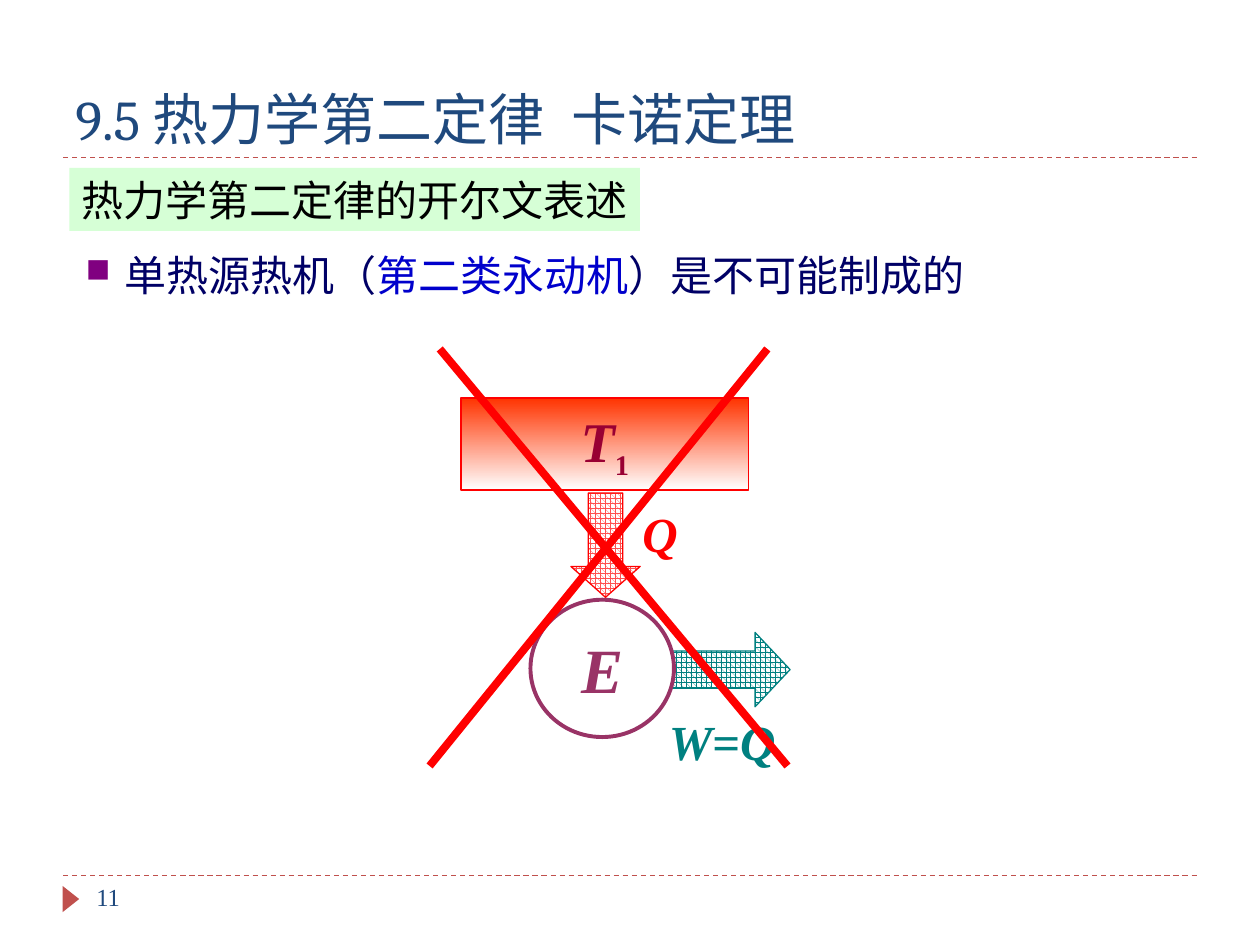
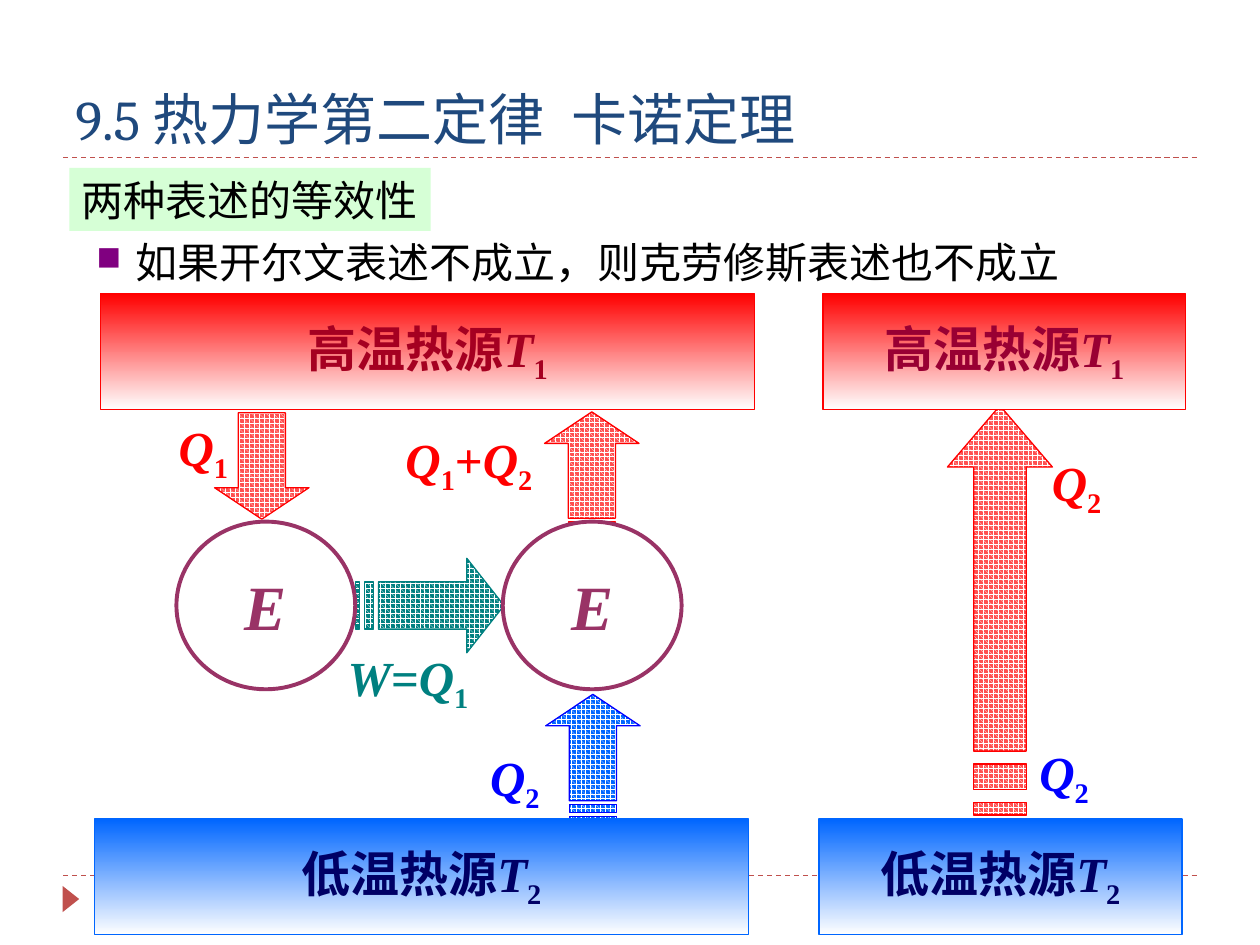
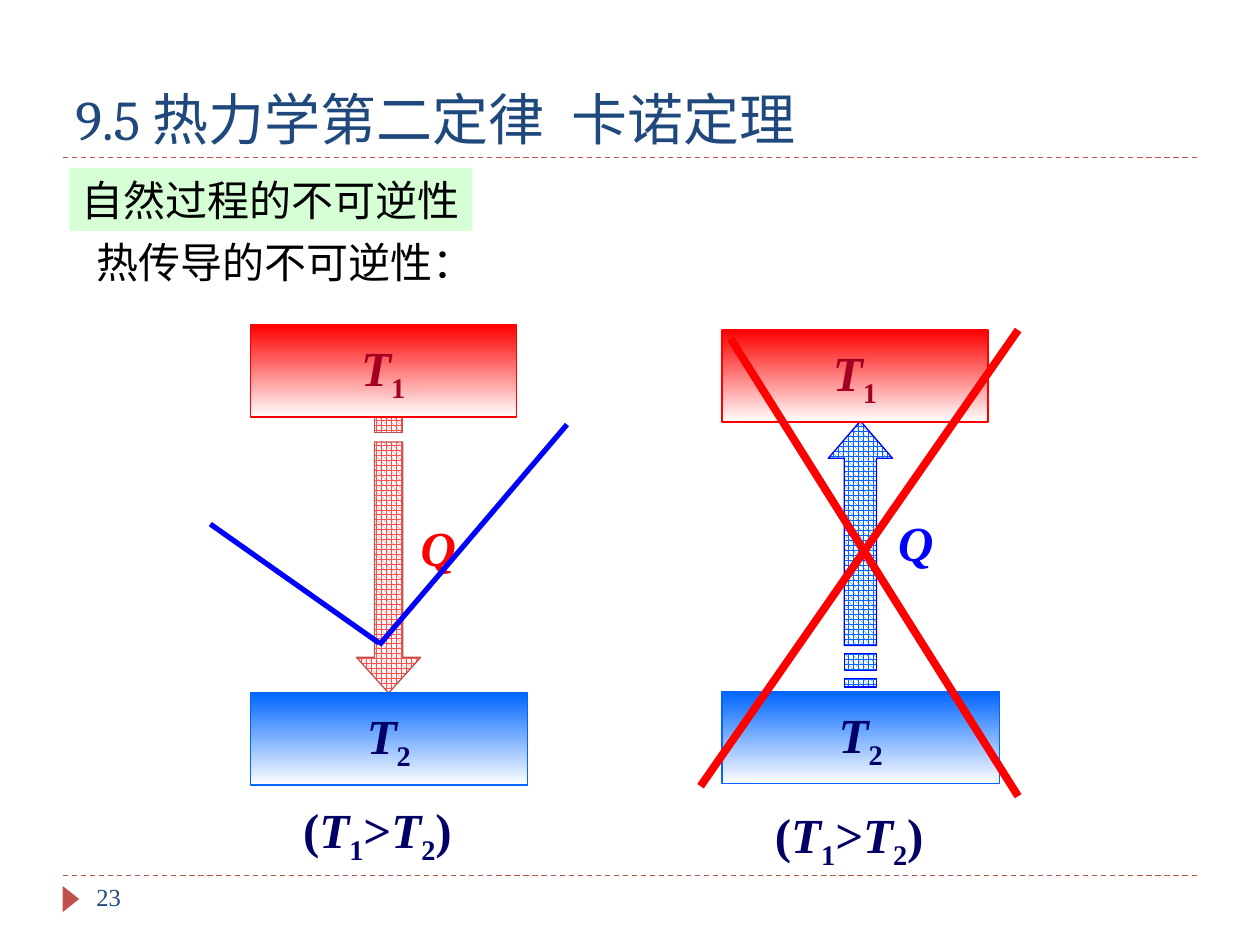
from dataclasses import dataclass
from itertools import groupby

from lxml import etree
from pptx import Presentation
from pptx import util as u
from pptx.dml.color import RGBColor
from pptx.enum import dml, lang, shapes, text
from pptx.oxml.ns import qn


@dataclass(frozen=True)
class Theme:
    title: str = "1F497D"
    accent: str = "C0504D"
    highlight: str = "CCFFCC"
    bullet: str = "800080"
    black: str = "000000"
    white: str = "FFFFFF"
    navy: str = "000066"
    emphasis: str = "0000CC"
    red: str = "FF0000"
    orange: str = "FF3300"
    heat: str = "FF5050"
    hot_text: str = "A50021"
    wine: str = "990033"
    cold: str = "0066FF"
    blue: str = "0000FF"
    work: str = "008080"
    engine: str = "993366"
    heading_font: str = "Cambria"
    body_font: str = "Times New Roman"
    title_size: int = 32
    engine_size: int = 36
    formula_size: int = 28
    body_size: int = 24
    number_size: int = 14


THEME = Theme()
TITLE = ("9.5 热力学第二定律", "卡诺定理")


def rgb(value):
    return RGBColor.from_string(value)


def add_run(paragraph, content, color, size, font=THEME.body_font, **extra):
    run = paragraph.add_run()
    run.text = content
    values = dict(name=font, size=u.Pt(size), language_id=lang.MSO_LANGUAGE_ID.SIMPLIFIED_CHINESE)
    for name, value in {**values, **extra}.items():
        setattr(run.font, name, value)
    run.font.color.rgb = rgb(color)
    return run


def glyph_kind(character):
    if character.isdigit():
        return "subscript"
    return "variable" if character.isascii() and character.isalpha() else "plain"


def write_formula(paragraph, formula, color, size=THEME.formula_size):
    for kind, characters in groupby(formula, glyph_kind):
        subscript = kind == "subscript"
        run = add_run(paragraph, "".join(characters), color,
                      THEME.formula_size if subscript else size,
                      bold=True, italic=kind == "variable")
        if subscript:
            run.font._element.set("baseline", "-25000")


def set_frame(shape, **values):
    frame = shape.text_frame
    for name, value in values.items():
        setattr(frame, name, value)
    return frame.paragraphs[0]


def add_box(slide, left, top, width, height, **values):
    shape = slide.shapes.add_textbox(*map(u.Pt, (left, top, width, height)))
    return set_frame(shape, **{"word_wrap": True, **values})


def add_label(slide, left, top, formula, color, width=44, centred=False):
    paragraph = add_box(slide, left, top, width, 41, word_wrap=centred)
    paragraph.alignment = text.PP_ALIGN.CENTER if centred else text.PP_ALIGN.LEFT
    write_formula(paragraph, formula, color)


def add_shape(slide, kind, left, top, width, height, fill=None, line=None, weight=0.75):
    shape = slide.shapes.add_shape(kind, *map(u.Pt, (left, top, width, height)))
    shape.shadow.inherit = False
    if fill:
        shape.fill.solid()
        shape.fill.fore_color.rgb = rgb(fill)
    set_line(shape, line, weight)
    return shape


def set_line(shape, color, weight):
    if color:
        shape.line.color.rgb = rgb(color)
        shape.line.width = u.Pt(weight)
    else:
        shape.line.fill.background()


def add_line(slide, start, end, color, weight, dash=None):
    line = slide.shapes.add_connector(shapes.MSO_CONNECTOR.STRAIGHT, *map(u.Pt, (*start, *end)))
    set_line(line, color, weight)
    line.line.dash_style = dash
    etree.SubElement(line._element.spPr, qn("a:effectLst"))


def add_reservoir(slide, left, top, width, height, formula, ink, fill, line, size=THEME.formula_size):
    shape = add_shape(slide, shapes.MSO_SHAPE.RECTANGLE, left, top, width, height, line=line)
    shape.fill.gradient()
    shape.fill.gradient_angle = 270
    for stop, position, color in zip(shape.fill.gradient_stops, (0, 1), (fill, THEME.white)):
        stop.position = position
        stop.color.rgb = rgb(color)
    centre_formula(shape, formula, ink, size)


def add_hot(slide, left, top, width, height, formula, ink=THEME.hot_text):
    add_reservoir(slide, left, top, width, height, formula, ink, THEME.red, THEME.red)


def add_cold(slide, left, top, width, height, formula):
    add_reservoir(slide, left, top, width, height, formula, THEME.navy, THEME.cold, THEME.cold)


def centre_formula(shape, formula, color, size):
    paragraph = set_frame(shape, word_wrap=False, vertical_anchor=text.MSO_ANCHOR.MIDDLE)
    paragraph.alignment = text.PP_ALIGN.CENTER
    write_formula(paragraph, formula, color, size)


def add_engine(slide, left, top, width, height):
    shape = add_shape(slide, shapes.MSO_SHAPE.OVAL, left, top, width, height,
                      THEME.white, THEME.engine, 2.25)
    centre_formula(shape, "E", THEME.engine, THEME.engine_size)


def add_striped_arrow(slide, left, top, width, height, direction, colors, line,
                      neck=0.75, inset=0.25):
    def place(along, across):
        x, y = {"right": (along, across), "down": (across, along),
                "up": (across, 1 - along)}[direction]
        return u.Pt(left + x * width), u.Pt(top + y * height)

    def band(start, end):
        return [(start, inset), (end, inset), (end, 1 - inset), (start, 1 - inset)]

    body = [(5 / 32, inset), (neck, inset), (neck, 0), (1, 0.5),
            (neck, 1), (neck, 1 - inset), (5 / 32, 1 - inset)]
    contours = [[place(*point) for point in contour]
                for contour in (body, band(1 / 16, 1 / 8), band(0, 1 / 32))]
    builder = slide.shapes.build_freeform(*contours[0][0], scale=1.0)
    for index, contour in enumerate(contours):
        if index:
            builder.move_to(*contour[0])
        builder.add_line_segments(contour[1:], close=True)
    shape = builder.convert_to_shape()
    shape.shadow.inherit = False
    shape.fill.patterned()
    shape.fill.pattern = dml.MSO_PATTERN.SPHERE
    shape.fill.fore_color.rgb, shape.fill.back_color.rgb = map(rgb, colors)
    set_line(shape, line, 0.75)


def add_frame(slide, number=None):
    for y in (90, 500.4):
        add_line(slide, (36, y), (684, y), THEME.accent, 0.75, dml.MSO_LINE.DASH)
    marker = add_shape(slide, shapes.MSO_SHAPE.ISOSCELES_TRIANGLE, 33, 509, 15, 9.5, THEME.accent)
    marker.rotation = 90
    paragraph = add_box(slide, 36, 18, 648, 72, vertical_anchor=text.MSO_ANCHOR.BOTTOM)
    style = (THEME.title, THEME.title_size, THEME.heading_font)
    add_run(paragraph, TITLE[0], *style)
    add_run(paragraph, " ", *style).font._element.set("spc", "800")
    add_run(paragraph, TITLE[1], *style)
    if number:
        paragraph = add_box(slide, 48, 500.4, 156, 29)
        add_run(paragraph, number, THEME.title, THEME.number_size)


def add_heading(slide, content, width):
    shape = add_shape(slide, shapes.MSO_SHAPE.RECTANGLE, 39.6, 96, width, 36, THEME.highlight)
    color = shape._element.spPr.find(qn("a:solidFill"))[0]
    etree.SubElement(color, qn("a:alpha"), val="80000")
    paragraph = set_frame(shape, word_wrap=False, vertical_anchor=text.MSO_ANCHOR.MIDDLE)
    paragraph.alignment = text.PP_ALIGN.LEFT
    add_run(paragraph, content, THEME.black, THEME.body_size)


def add_bullet(slide, left, top, width, parts):
    paragraph = add_box(slide, left, top, width, 43)
    paragraph.line_spacing = 1.25
    properties = paragraph._p.get_or_add_pPr()
    for name, value in {"marL": 22.5, "indent": -22.5}.items():
        properties.set(name, str(u.Pt(value)))
    color = etree.SubElement(properties, qn("a:buClr"))
    etree.SubElement(color, qn("a:srgbClr"), val=THEME.bullet)
    etree.SubElement(properties, qn("a:buSzPct"), val="80000")
    etree.SubElement(properties, qn("a:buChar"), char="■")
    for content, ink in parts:
        add_run(paragraph, content, ink, THEME.body_size)


def draw_single_source(slide, left, top):
    add_striped_arrow(slide, left + 80.7, top + 71.3, 39.6, 70.6, "down",
                      (THEME.heat, THEME.white), THEME.red)
    add_reservoir(slide, left + 18, top + 28, 164.2, 52.6, "T1", THEME.wine,
                  THEME.orange, THEME.red, THEME.title_size)
    add_striped_arrow(slide, left + 126, top + 162, 80, 42.5, "right",
                      (THEME.work, THEME.white), THEME.work)
    add_label(slide, left + 129.6, top + 203.8, "W=Q", THEME.work, 75.6)
    add_label(slide, left + 114.5, top + 85, "Q", THEME.red, 34.6)
    add_engine(slide, left + 57.6, top + 143.3, 82, 78.5)
    for start, end in ((193, 0), (5.8, 204.5)):
        add_line(slide, (left + start, top), (left + end, top + 238.3), THEME.red, 4.5)


def draw_combined_engines(slide, left, top):
    heat, cold, work = ((THEME.white, color) for color in (THEME.heat, THEME.cold, THEME.work))
    flows = ((257.8, 229, 54, 72, "up", cold, THEME.blue),
             (257.2, 67.6, 54, 72, "up", heat, THEME.red),
             (68.6, 56.9, 54, 72, "down", heat, THEME.red),
             (149, 151.2, 85, 54, "right", work, THEME.work))
    for x, y, *style in flows:
        add_striped_arrow(slide, left + x, top + y, *style)
    for x in (46.8, 233.3):
        add_engine(slide, left + x, top + 130.3, 102.2, 95.8)
    labels = ((219, 255.6, "Q2", THEME.blue, 44), (170.6, 74, "Q1+Q2", THEME.red, 90),
              (137.5, 198.7, "W=Q1", THEME.work, 96), (41, 67, "Q1", THEME.red, 44))
    for x, y, *style in labels:
        add_label(slide, left + x, top + y, *style)
    add_hot(slide, left + 3.6, top, 373.7, 66.2, "高温热源T1")
    add_cold(slide, left, top + 300.2, 373.7, 66.2, "低温热源T2")


def draw_net_effect(slide, left, top):
    add_striped_arrow(slide, left + 73.4, top + 64, 60, 234, "up",
                      (THEME.white, THEME.heat), THEME.red, neck=0.85)
    add_label(slide, left + 118.8, top + 252.7, "Q2", THEME.blue)
    add_label(slide, left + 126, top + 87, "Q2", THEME.red)
    add_hot(slide, left + 2.2, top, 207.4, 66.2, "高温热源T1", THEME.wine)
    add_cold(slide, left, top + 300.2, 207.4, 66.2, "低温热源T2")


def draw_conduction(slide, left, top, cold_top, arrow, label):
    add_striped_arrow(slide, left + 60.7, top + arrow["top"], 36.7, arrow["length"],
                      arrow["direction"], arrow["colors"], arrow["line"],
                      arrow["neck"], arrow["inset"])
    add_hot(slide, left, top, 152, 52.6, "T1")
    add_cold(slide, left, top + cold_top, 158.4, 52.6, "T2")
    add_label(slide, left + label["left"], top + label["top"], "Q", label["color"])
    add_label(slide, left - 6.5, top + 267.5, "(T1>T2)", THEME.navy, 158.4, centred=True)


def build_kelvin_slide(slide):
    add_frame(slide, "11")
    add_bullet(slide, 41.8, 131.8, 548, (("单热源热机（", THEME.navy),
                                         ("第二类永动机", THEME.emphasis),
                                         ("）是不可能制成的", THEME.navy)))
    draw_single_source(slide, 245.5, 199.4)
    add_heading(slide, "热力学第二定律的开尔文表述", 326)


def build_equivalence_slide(slide):
    add_frame(slide)
    add_heading(slide, "两种表述的等效性", 206.6)
    add_bullet(slide, 48, 124.6, 578,
               (("如果开尔文表述不成立，则克劳修斯表述也不成立", THEME.black),))
    draw_combined_engines(slide, 54, 167.8)
    draw_net_effect(slide, 468, 167.8)


def build_irreversibility_slide(slide):
    add_frame(slide, "23")
    add_heading(slide, "自然过程的不可逆性", 230.4)
    paragraph = add_box(slide, 48, 131.8, 234, 36)
    add_run(paragraph, "热传导的不可逆性：", THEME.black, THEME.body_size)
    draw_conduction(slide, 143, 185.8, 210.2,
                    dict(top=40.2, length=170, direction="down", neck=0.88, inset=0.28,
                         colors=(THEME.heat, THEME.white), line=THEME.accent),
                    dict(left=90.3, top=106.5, color=THEME.red))
    draw_conduction(slide, 412.6, 188.6, 206.7,
                    dict(top=52, length=152, direction="up", neck=0.86, inset=0.25,
                         colors=(THEME.cold, THEME.white), line=THEME.blue),
                    dict(left=93.6, top=100.8, color=THEME.blue))
    add_line(slide, (581.8, 188.6), (400.3, 449.3), THEME.red, 4.5)
    add_line(slide, (417.6, 193.7), (581.8, 455), THEME.red, 4.5)
    add_line(slide, (120.2, 299.5), (216.7, 367.5), THEME.blue, 3)
    add_line(slide, (216.7, 368.6), (324, 242.6), THEME.blue, 3)


def main():
    presentation = Presentation()
    presentation.slide_width, presentation.slide_height = u.Pt(720), u.Pt(540)
    for build in (build_kelvin_slide, build_equivalence_slide, build_irreversibility_slide):
        build(presentation.slides.add_slide(presentation.slide_layouts[6]))
    presentation.save("out.pptx")


if __name__ == "__main__":
    main()
